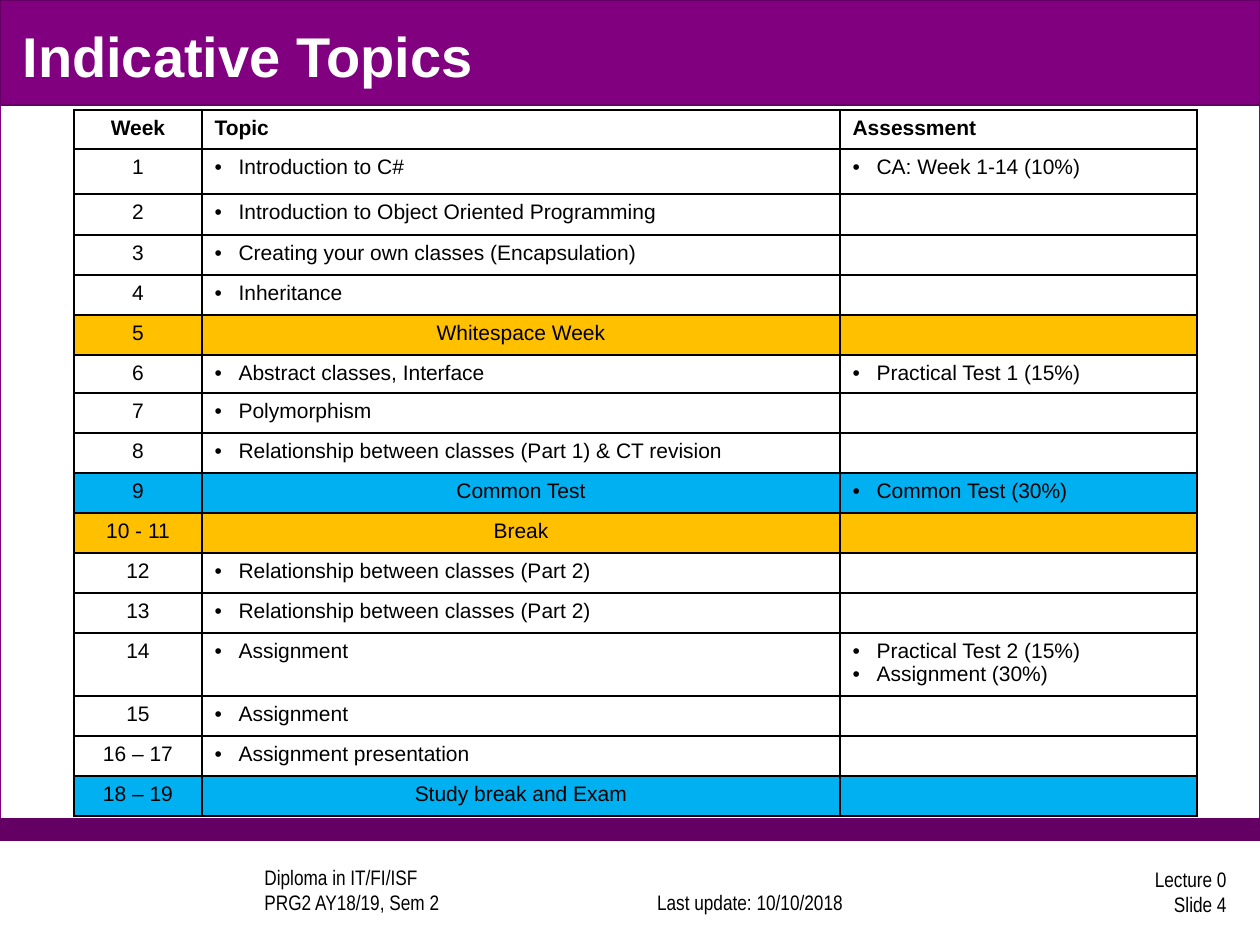
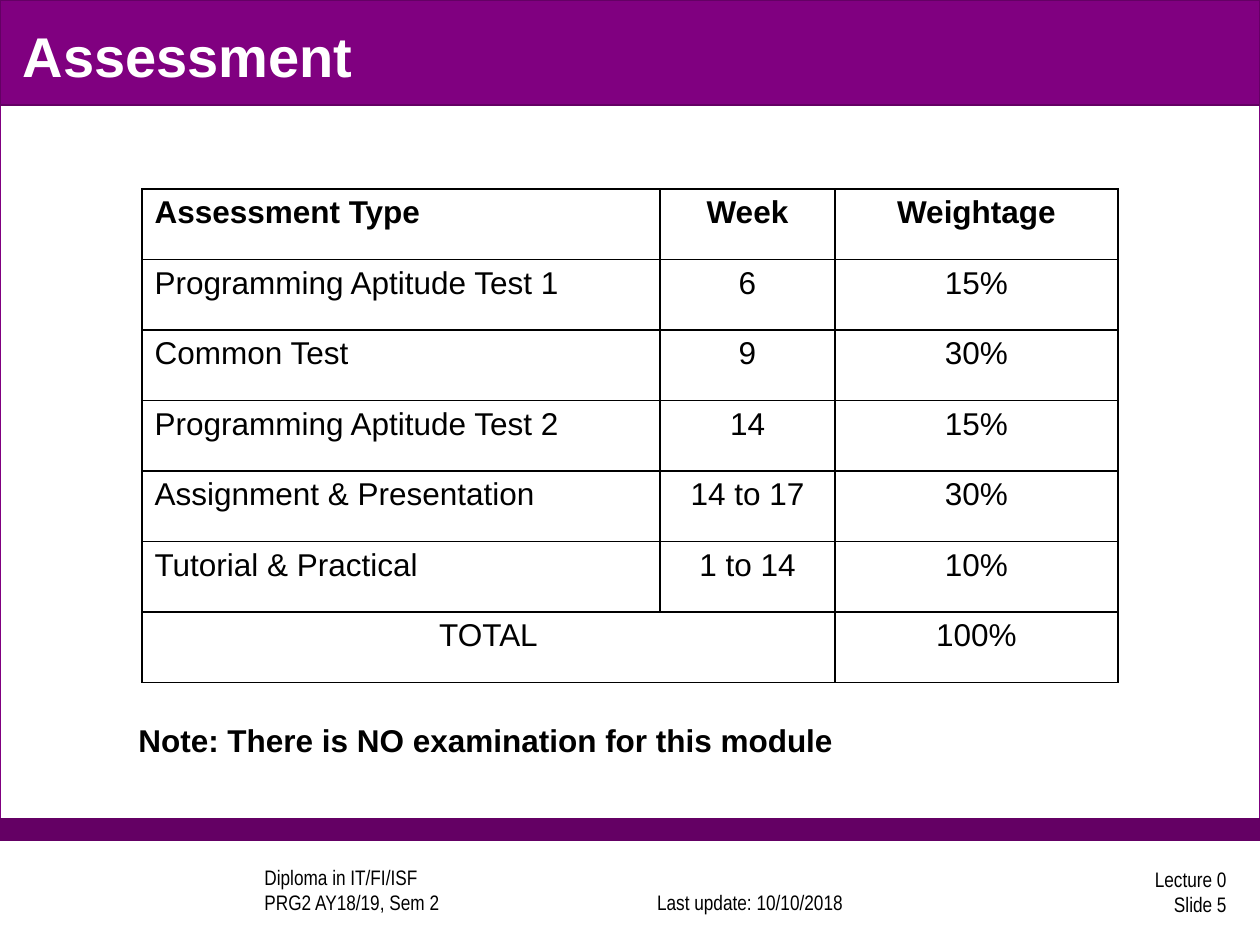
from lxml.etree import SubElement
from pptx import Presentation
from pptx.dml.color import RGBColor
from pptx.enum.shapes import MSO_SHAPE
from pptx.enum.text import MSO_ANCHOR, PP_ALIGN
from pptx.oxml.ns import qn
from pptx.util import Emu, Pt

PX = 914400 / 126
PURPLE = RGBColor(0x80, 0x00, 0x80)
DARK_PURPLE = RGBColor(0x64, 0x00, 0x64)
WHITE = RGBColor(0xFF, 0xFF, 0xFF)
BLACK = RGBColor(0x00, 0x00, 0x00)
AMBER = RGBColor(0xFF, 0xC0, 0x00)
BLUE = RGBColor(0x00, 0xB0, 0xF0)
LEFT, CENTER, RIGHT = PP_ALIGN.LEFT, PP_ALIGN.CENTER, PP_ALIGN.RIGHT


def px(*lengths):
    return [Emu(round(n * PX)) for n in lengths]


def write(tf, text, size, align=LEFT, bold=False, color=BLACK, name="Arial", bullet=False):
    """Fill a text frame, one paragraph per line of text."""
    for i, line in enumerate(text.split("\n")):
        p = tf.paragraphs[0] if i == 0 else tf.add_paragraph()
        p.alignment = align
        if not line:
            SubElement(p._p, qn("a:endParaRPr"), sz=str(size * 100))
            continue
        p.text = line
        for r in p.runs:
            r.font.color.rgb = color
            for key, value in dict(size=Pt(size), bold=bold, name=name).items():
                setattr(r.font, key, value)
        if bullet:
            pPr = p._p.get_or_add_pPr()
            indent = px(24)[0]
            pPr.set("marL", str(indent))
            pPr.set("indent", str(-indent))
            SubElement(pPr, qn("a:buFont"), typeface="Arial")
            SubElement(pPr, qn("a:buChar"), char="•")


prs = Presentation()
prs.slide_width, prs.slide_height = px(1260, 945)
layout = prs.slide_layouts[5]

# What differs between the slides
topics = [
    ("Week", "Topic", "Assessment"),
    ("1", "Introduction to C#", "CA: Week 1-14 (10%)"),
    ("2", "Introduction to Object Oriented Programming", ""),
    ("3", "Creating your own classes (Encapsulation)", ""),
    ("4", "Inheritance", ""),
    ("5", "Whitespace Week", ""),
    ("6", "Abstract classes, Interface", "Practical Test 1 (15%)"),
    ("7", "Polymorphism", ""),
    ("8", "Relationship between classes (Part 1) & CT revision", ""),
    ("9", "Common Test", "Common Test (30%)"),
    ("10 - 11", "Break", ""),
    ("12", "Relationship between classes (Part 2)", ""),
    ("13", "Relationship between classes (Part 2)", ""),
    ("14", "Assignment", "Practical Test 2 (15%)\nAssignment (30%)"),
    ("15", "Assignment", ""),
    ("16 – 17", "Assignment presentation", ""),
    ("18 – 19", "Study break and Exam", ""),
]
topic_heights = [40] * len(topics)
for row, height in {0: 39, 1: 45, 2: 41, 6: 38, 13: 59}.items():
    topic_heights[row] = height
weights = [
    ("Assessment Type", "Week", "Weightage"),
    ("Programming Aptitude Test 1", "6", "15%"),
    ("Common Test", "9", "30%"),
    ("Programming Aptitude Test 2", "14", "15%"),
    ("Assignment & Presentation", "14 to 17", "30%"),
    ("Tutorial & Practical", "1 to 14", "10%"),
    ("TOTAL", "", "100%"),
]
pages = [
    dict(title="Indicative Topics", number=4, rows=topics, at=(74, 110), size=12,
         cols=(128, 638, 357), heights=topic_heights, centered=(0,), bulleted=(1, 2),
         bands={5: AMBER, 9: BLUE, 10: AMBER, 16: BLUE}),
    dict(title="Assessment", number=5, rows=weights, at=(142, 189), size=18,
         cols=(518, 175, 283), heights=[70.5] * len(weights), centered=(1, 2), bulleted=(),
         bands={}),
]

for page in pages:
    s = prs.slides.add_slide(layout)

    # Frame and bands, drawn once and moved to the shared layout
    if page is pages[0]:
        for box, fill, line in [
            ((0, 0, 1260, 840), WHITE, PURPLE),
            ((0, 819, 1260, 21), DARK_PURPLE, DARK_PURPLE),
            ((0, 0, 1260, 105), PURPLE, DARK_PURPLE),
        ]:
            sp = s.shapes.add_shape(MSO_SHAPE.RECTANGLE, *px(*box))
            sp.shadow.inherit = False
            sp.fill.solid()
            sp.fill.fore_color.rgb = fill
            sp.line.color.rgb = line
            sp.line.width = Pt(0.75)
            layout.shapes._spTree.append(sp._element)

    # Title
    title = s.shapes.title
    title.left, title.top, title.width, title.height = px(10, 16, 1239, 78)
    title.text_frame.vertical_anchor = MSO_ANCHOR.MIDDLE
    write(title.text_frame, page["title"], 32, bold=True, color=WHITE)

    # Footer
    for box, text, align, anchor in [
        ((252, 868, 336, 53), "Diploma in IT/FI/ISF\vPRG2 AY18/19, Sem 2", LEFT, MSO_ANCHOR.BOTTOM),
        ((619, 868, 262, 53), "Last update: 10/10/2018", CENTER, MSO_ANCHOR.BOTTOM),
        ((977, 865, 262, 53), f"Lecture 0\vSlide {page['number']}", RIGHT, MSO_ANCHOR.MIDDLE),
    ]:
        tf = s.shapes.add_textbox(*px(*box)).text_frame
        tf.word_wrap = True
        tf.vertical_anchor = anchor
        write(tf, text, 12, align, name="Arial Narrow")

    # Table
    rows, cols, heights = page["rows"], page["cols"], page["heights"]
    box = px(*page["at"], sum(cols), sum(heights))
    table = s.shapes.add_table(len(rows), len(cols), *box).table
    for column, width in zip(table.columns, px(*cols)):
        column.width = width
    for row, height in zip(table.rows, px(*heights)):
        row.height = height
    for i, texts in enumerate(rows):
        band = page["bands"].get(i)
        for j, text in enumerate(texts):
            cell = table.cell(i, j)
            tcPr = cell._tc.get_or_add_tcPr()
            for side in ("lnL", "lnR", "lnT", "lnB"):
                ln = SubElement(tcPr, qn(f"a:{side}"), w=str(Pt(1)))
                SubElement(SubElement(ln, qn("a:solidFill")), qn("a:srgbClr"), val=str(BLACK))
            if band:
                cell.fill.solid()
                cell.fill.fore_color.rgb = band
            else:
                cell.fill.background()
            centered = j in page["centered"] or text == "TOTAL" or (band and j == 1)
            write(cell.text_frame, text, page["size"], CENTER if centered else LEFT,
                  bold=i == 0, bullet=i > 0 and j in page["bulleted"] and not centered)

# The total spans two columns
table.cell(6, 0).merge(table.cell(6, 1))

# Note under the assessment table
tf = s.shapes.add_textbox(*px(126, 715, 727, 50)).text_frame
tf.word_wrap = True
write(tf, "Note: There is NO examination for this module", 18, bold=True)

prs.save("out.pptx")
